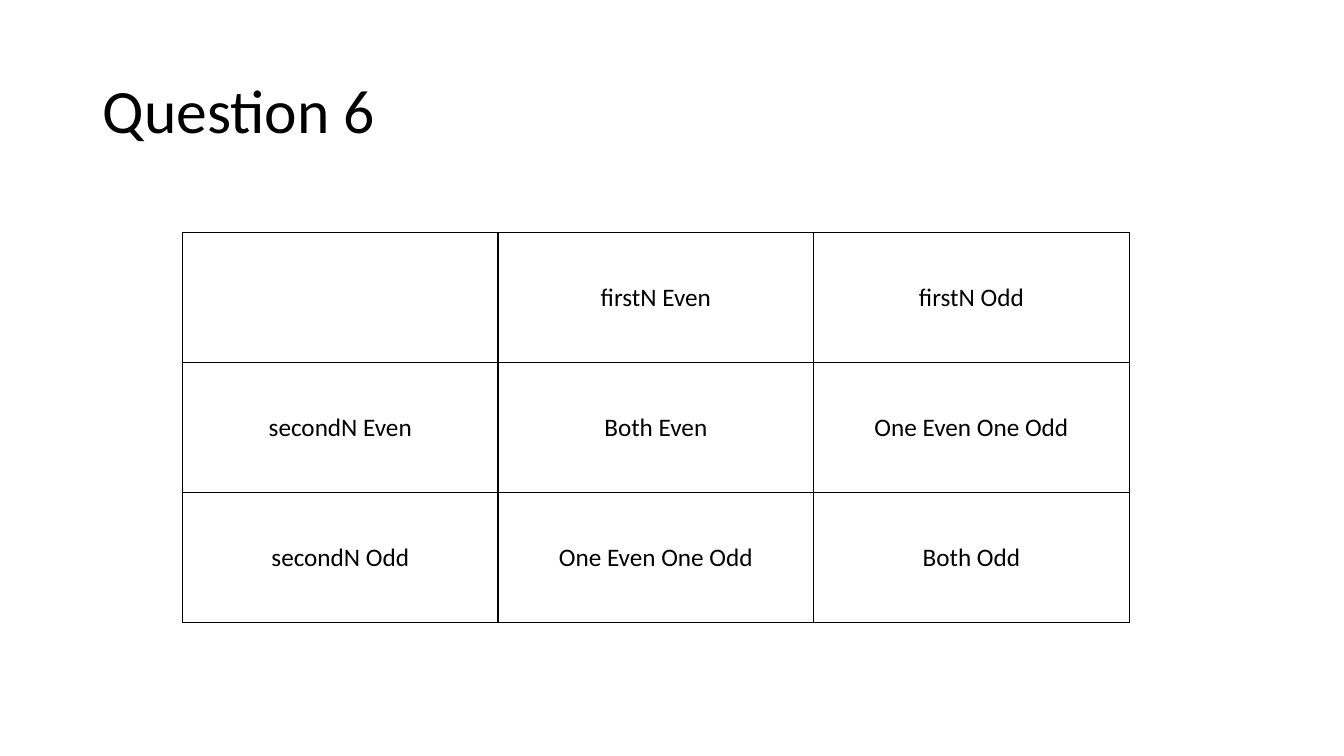
from pptx import Presentation
from pptx.dml.color import RGBColor
from pptx.enum.text import MSO_ANCHOR, PP_ALIGN
from pptx.oxml import parse_xml
from pptx.oxml.ns import nsdecls
from pptx.util import Inches, Pt

TITLE = "Question 6"
ROWS = [
    ("", "firstN Even", "firstN Odd"),
    ("secondN Even", "Both Even", "One Even One Odd"),
    ("secondN Odd", "One Even One Odd", "Both Odd"),
]
COLORS = {"text": "000000", "border": "000000", "cell": "FFFFFF"}
TITLE_BOX = {"left": 0.92, "top": 0.4, "width": 11.5, "height": 1.45}
TABLE_LEFT, TABLE_TOP = 1.81, 2.31
COL_WIDTH, ROW_HEIGHT = 3.13, 1.29
BORDER_PT = 1


def format_text(p, size, align):
    p.alignment = align
    font = {"name": "Calibri", "size": Pt(size), "bold": False}
    for key, value in font.items():
        setattr(p.font, key, value)
    p.font.color.rgb = RGBColor.from_string(COLORS["text"])


def add_borders(cell):
    tcPr = cell._tc.get_or_add_tcPr()
    for i, side in enumerate(("lnL", "lnR", "lnT", "lnB")):
        tcPr.insert(i, parse_xml(
            f'<a:{side} {nsdecls("a")} w="{Pt(BORDER_PT)}"><a:solidFill>'
            f'<a:srgbClr val="{COLORS["border"]}"/></a:solidFill></a:{side}>'))


prs = Presentation()
prs.slide_width, prs.slide_height = Inches(13.33), Inches(7.5)
s = prs.slides.add_slide(prs.slide_layouts[5])

title = s.shapes.title
for key, value in TITLE_BOX.items():
    setattr(title, key, Inches(value))
tf = title.text_frame
tf.text = TITLE
tf.vertical_anchor = MSO_ANCHOR.MIDDLE
p = tf.paragraphs[0]
p.line_spacing = 0.9
format_text(p, 44, PP_ALIGN.LEFT)

n_rows, n_cols = len(ROWS), len(ROWS[0])
table = s.shapes.add_table(
    n_rows, n_cols, Inches(TABLE_LEFT), Inches(TABLE_TOP),
    Inches(COL_WIDTH * n_cols), Inches(ROW_HEIGHT * n_rows)).table
table.first_row = table.horz_banding = False

for r, row in enumerate(ROWS):
    for c, text in enumerate(row):
        cell = table.cell(r, c)
        cell.text = text
        cell.vertical_anchor = MSO_ANCHOR.MIDDLE
        cell.fill.solid()
        cell.fill.fore_color.rgb = RGBColor.from_string(COLORS["cell"])
        format_text(cell.text_frame.paragraphs[0], 18, PP_ALIGN.CENTER)
        add_borders(cell)

prs.save("out.pptx")
